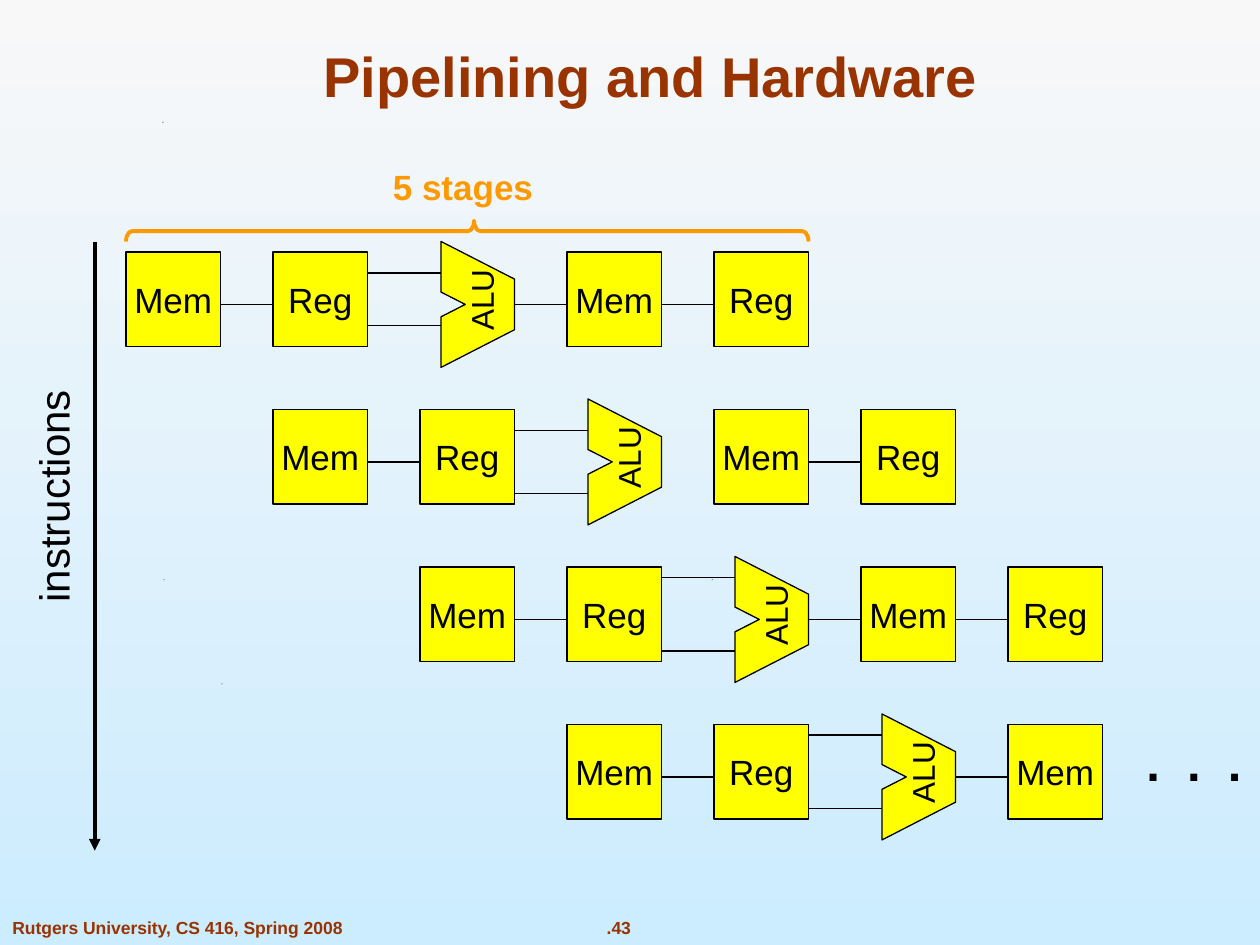
from dataclasses import dataclass

from lxml import etree
from pptx import Presentation
from pptx.dml.color import RGBColor
from pptx.enum.shapes import MSO_CONNECTOR, MSO_SHAPE
from pptx.enum.text import MSO_ANCHOR, PP_ALIGN
from pptx.oxml.ns import qn
from pptx.util import Cm, Pt

LEFT, CENTER = PP_ALIGN.LEFT, PP_ALIGN.CENTER
TOP, MIDDLE, BOTTOM = MSO_ANCHOR.TOP, MSO_ANCHOR.MIDDLE, MSO_ANCHOR.BOTTOM
STRAIGHT = MSO_CONNECTOR.STRAIGHT
RECTANGLE, LEFT_BRACE = MSO_SHAPE.RECTANGLE, MSO_SHAPE.LEFT_BRACE


@dataclass(frozen=True)
class Theme:
    font: str = "Arial"
    ink: RGBColor = RGBColor(0x00, 0x00, 0x00)
    heading: RGBColor = RGBColor(0x99, 0x33, 0x00)
    accent: RGBColor = RGBColor(0xFF, 0x99, 0x00)
    unit: RGBColor = RGBColor(0xFF, 0xFF, 0x00)
    sky_top: RGBColor = RGBColor(0xF8, 0xF8, 0xF8)
    sky_bottom: RGBColor = RGBColor(0xCC, 0xEC, 0xFF)
    title: float = 32
    dots: float = 28
    axis: float = 24
    label: float = 20
    alu: float = 18
    footer: float = 10
    thin: float = 0.75
    thick: float = 2.25


THEME = Theme()

# Lengths in centimetres
SLIDE_WIDTH, SLIDE_HEIGHT = 25.4, 19.05
GRID = 2.54
TICK = GRID / 12
GRID_LEFT, GRID_TOP = GRID, 2 * GRID
COLUMN_PITCH, ROW_PITCH = 14 * TICK, 15 * TICK
UNIT = 9 * TICK
ALU_LEFT, ALU_WIDTH, ALU_HEIGHT = 2 * TICK, 7 * TICK, 12 * TICK
ALU_RISE = TICK
SPECKS = ((4.47, 13.78), (3.3, 11.68), (14.35, 11.68), (3.28, 2.46))
SPECK_SIZE = 0.02

STAGES = ("Mem", "Reg", "ALU", "Mem", "Reg")
# Stages shown, ticks from ALU top to its two inputs, whether the ALU output is wired
INSTRUCTIONS = (
    (5, (3, 8), True),
    (5, (3, 9), False),
    (5, (2, 9), True),
    (4, (2, 9), True),
)


def write_text(shape, text, size, color=THEME.ink, bold=False, align=LEFT,
               anchor=TOP, wrap=False):
    frame = shape.text_frame
    frame.word_wrap = wrap
    frame.vertical_anchor = anchor
    if align == LEFT:
        frame.margin_right = 0
    paragraph = frame.paragraphs[0]
    paragraph.alignment = align
    run = paragraph.add_run()
    run.text = text
    run.font.color.rgb = color
    for name, value in {"name": THEME.font, "size": Pt(size), "bold": bold}.items():
        setattr(run.font, name, value)
    return run


def add_label(shapes, box, text, size, rotation=0, **text_format):
    label = shapes.add_textbox(*map(Cm, box))
    label.rotation = rotation
    return write_text(label, text, size, **text_format)


def add_outline(shapes, left, top, corners):
    """Closed freeform through the top left corner and the given offsets from it."""
    builder = shapes.build_freeform(Cm(left), Cm(top))
    builder.add_line_segments([(Cm(left + x), Cm(top + y)) for x, y in corners])
    return builder.convert_to_shape()


def style_unit(shape):
    shape.shadow.inherit = False
    shape.fill.solid()
    shape.fill.fore_color.rgb = THEME.unit
    shape.line.color.rgb = THEME.ink
    shape.line.width = Pt(THEME.thin)


def add_line(slide, start, end, width=THEME.thin):
    line = slide.shapes.add_connector(STRAIGHT, *map(Cm, (*start, *end)))
    line.line.color.rgb = THEME.ink
    line.line.width = Pt(width)
    etree.SubElement(line._element.spPr, qn("a:effectLst"))
    return line


def add_unit(slide, left, top, text):
    unit = slide.shapes.add_shape(RECTANGLE, *map(Cm, (left, top, UNIT, UNIT)))
    style_unit(unit)
    write_text(unit, text, THEME.label, align=CENTER, anchor=MIDDLE)


def add_alu(slide, left, top):
    """Notched ALU outline with its upright label, as one group."""
    shapes = slide.shapes.add_group_shape().shapes
    corners = ((0, 1.02), (0.49, 1.27), (0, 1.52), (0, ALU_HEIGHT),
               (ALU_WIDTH, 1.78), (ALU_WIDTH, 0.76))
    style_unit(add_outline(shapes, left, top, corners))
    add_label(shapes, (left - 0.05, top + 0.67, 1.73, 1.02), "ALU", THEME.alu, rotation=270)


def add_instruction(slide, left, top, stage_count, input_ticks, output_wired):
    """One instruction: its stages from left to right and the wires between them."""
    alu_top = top - ALU_RISE
    previous = None
    for column, stage in enumerate(STAGES[:stage_count]):
        is_alu = stage == "ALU"
        x = left + column * COLUMN_PITCH + (ALU_LEFT if is_alu else 0)
        if is_alu:
            add_alu(slide, x, alu_top)
            wires = [alu_top + ticks * TICK for ticks in input_ticks]
        else:
            add_unit(slide, x, top, stage)
            after_alu = column and STAGES[column - 1] == "ALU"
            wires = [] if after_alu and not output_wired else [alu_top + ALU_HEIGHT / 2]
        if previous is not None:
            for y in wires:
                add_line(slide, (previous, y), (x, y))
        previous = x + (ALU_WIDTH if is_alu else UNIT)


def add_pipeline(slide, left, top):
    for row, instruction in enumerate(INSTRUCTIONS):
        add_instruction(slide, left + row * COLUMN_PITCH, top + row * ROW_PITCH, *instruction)
    dots_box = (left + 20.32, top + 9.57, 2.41, 1.45)
    dots = add_label(slide.shapes, dots_box, ". . .", THEME.dots, bold=True)
    dots._r.get_or_add_rPr().set("spc", "390")


def add_stage_brace(slide, left, top, length):
    """Horizontal brace pointing up, with its caption above."""
    depth = 0.42
    box = (left + (length - depth) / 2, top + (depth - length) / 2, depth, length)
    brace = slide.shapes.add_shape(LEFT_BRACE, *map(Cm, box))
    brace.rotation = 90
    brace.adjustments[0] = 0.29
    brace.adjustments[1] = 0.49
    brace.shadow.inherit = False
    brace.fill.background()
    brace.line.color.rgb = THEME.accent
    brace.line.width = Pt(THEME.thick)
    add_label(slide.shapes, (left + 5.13, top - 1.24, 3.33, 1.11), "5 stages",
              THEME.label, color=THEME.accent, bold=True)


def add_instruction_axis(slide, left, top, height):
    arrow = add_line(slide, (left, top), (left, top + height), THEME.thick)
    etree.SubElement(arrow.line._get_or_add_ln(), qn("a:tailEnd"), type="triangle")
    add_label(slide.shapes, (left - 3.23, top + 4.5, 4.78, 1.27), "instructions",
              THEME.axis, rotation=270)


def add_specks(slide):
    for left, top in SPECKS:
        corners = ((SPECK_SIZE, 0), (0, SPECK_SIZE))
        speck = add_outline(slide.shapes, left, top, corners)
        speck.shadow.inherit = False
        speck.fill.solid()
        speck.fill.fore_color.rgb = THEME.ink
        speck.line.fill.background()


def add_frame(slide):
    """Background, title and footer."""
    fill = slide.background.fill
    fill.gradient()
    fill.gradient_angle = 270
    for stop, color in zip(fill.gradient_stops, (THEME.sky_top, THEME.sky_bottom)):
        stop.color.rgb = color
    add_specks(slide)
    heading = {"color": THEME.heading, "bold": True}
    add_label(slide.shapes, (1.9, 0.61, 22.43, 1.7), "Pipelining and Hardware",
              THEME.title, align=CENTER, anchor=BOTTOM, wrap=True, **heading)
    add_label(slide.shapes, (0, 18.37, 7.19, 0.69),
              "Rutgers University, CS 416, Spring 2008", THEME.footer, **heading)
    add_label(slide.shapes, (11.32, 18.37, 2.31, 0.69), ".43", THEME.footer,
              align=CENTER, **heading)


def main():
    presentation = Presentation()
    presentation.slide_width, presentation.slide_height = Cm(SLIDE_WIDTH), Cm(SLIDE_HEIGHT)
    slide = presentation.slides.add_slide(presentation.slide_layouts[6])
    add_frame(slide)
    add_instruction_axis(slide, 1.91, 4.87, 12.28)
    add_pipeline(slide, GRID_LEFT, GRID_TOP)
    add_stage_brace(slide, GRID_LEFT, 4.45, 4 * COLUMN_PITCH + UNIT)
    presentation.save("out.pptx")


if __name__ == "__main__":
    main()
